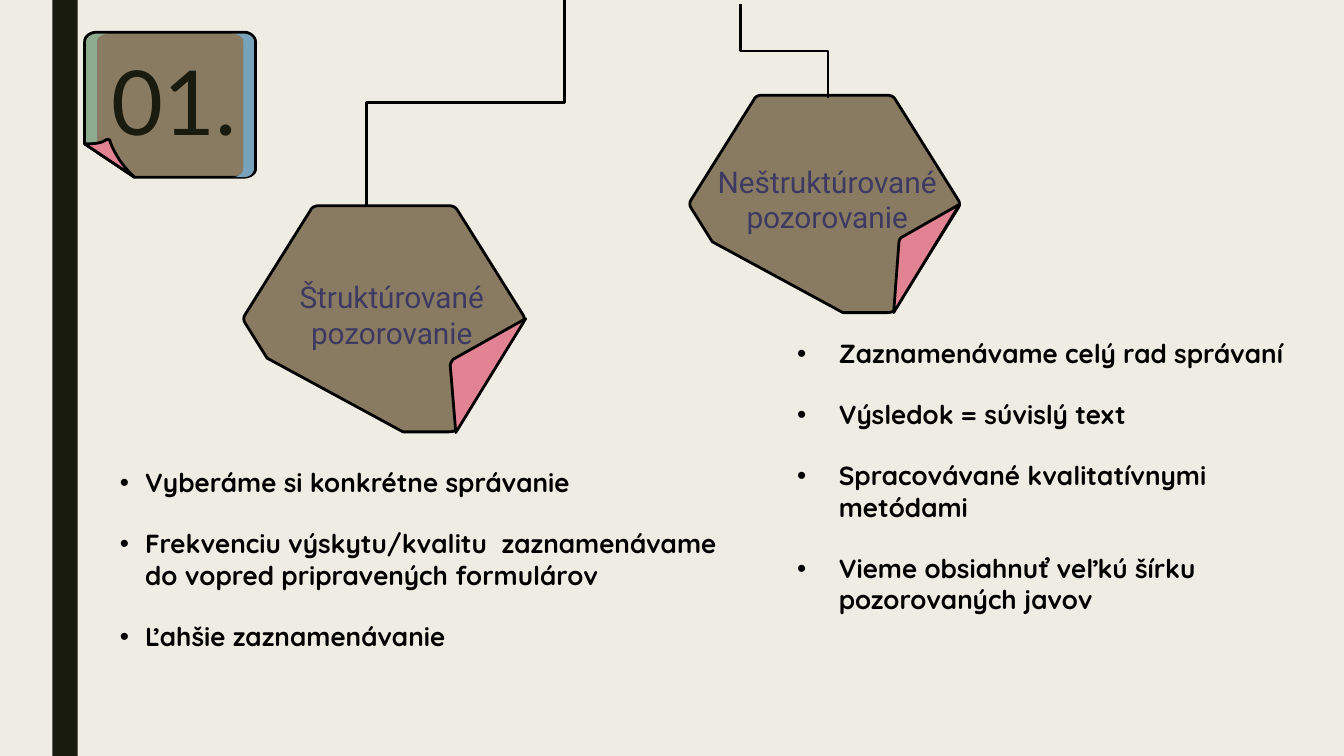
from pptx import Presentation
from pptx.dml.color import RGBColor
from pptx.enum.shapes import MSO_CONNECTOR as Connector, MSO_SHAPE as Shape
from pptx.enum.text import MSO_ANCHOR as Anchor, MSO_AUTO_SIZE as AutoSize, PP_ALIGN as Align
from pptx.oxml.ns import qn
from pptx.util import Cm, Pt

COLORS = {
    "paper": "EFEDE3", "dark": "191B0E", "brown": "897B61", "blue": "77A2BB",
    "green": "8DAB8E", "pink": "E28394", "label": "3D3961", "black": "000000",
}

# Outlines in cm: a pair is a corner, six numbers are a Bezier curve.
BADGE = [
    ("brown", True, [(1.83, 0.61), (1.7, 0.61, 1.6, 0.69, 1.6, 0.79), (1.6, 2.72),
                     (2.54, 3.35), (4.62, 3.35), (4.72, 3.35, 4.83, 3.28, 4.83, 3.2),
                     (4.83, 0.79), (4.83, 0.69, 4.72, 0.61, 4.62, 0.61)]),
    ("blue", False, [(4.39, 0.64), (4.52, 0.64, 4.6, 0.71, 4.6, 0.79), (4.6, 3.18),
                     (4.6, 3.28, 4.52, 3.35, 4.39, 3.35), (4.6, 3.35),
                     (4.72, 3.35, 4.8, 3.28, 4.8, 3.18), (4.8, 0.79),
                     (4.8, 0.71, 4.72, 0.64, 4.6, 0.64)]),
    ("green", False, [(1.83, 0.64), (1.73, 0.64, 1.63, 0.71, 1.63, 0.79), (1.63, 2.72),
                      (1.83, 2.84), (1.83, 0.79), (1.83, 0.71, 1.93, 0.64, 2.03, 0.64)]),
    ("pink", True, [(2.01, 2.64), (1.91, 2.72, 1.75, 2.72, 1.6, 2.72), (2.54, 3.35),
                    (2.24, 3.07, 2.11, 2.77, 2.08, 2.67), (2.08, 2.64, 2.06, 2.64, 2.03, 2.64)]),
]
HEXAGON = [
    (1.37, 0), (1.3, 0, 1.24, 0.03, 1.22, 0.08), (0.03, 1.98),
    (0, 2.03, 0, 2.08, 0.03, 2.13), (0.43, 2.77), (2.9, 4.11), (3.73, 4.11),
    (3.81, 4.11, 3.86, 4.09, 3.89, 4.04), (5.08, 2.13),
    (5.11, 2.08, 5.11, 2.03, 5.08, 1.98), (3.89, 0.08), (3.86, 0.03, 3.81, 0, 3.73, 0),
]
TITLE = ("01.", (1.63, 0.64, 3.33, 2.74))
BRANCHES = [
    {
        "label": "Štruktúrované pozorovanie", "label_box": (4.7, 5.38, 5.41, 1.14),
        "origin": (4.6, 3.89), "scale": 1.04,
        "flap": [(3.86, 4.12), (5.13, 2.05), (3.83, 2.78), (3.79, 2.81, 3.76, 2.86, 3.76, 2.91)],
        "link": (10.67, 0, 6.93, 3.89),
        "list_box": (2.01, 8.69, 11.94, 4.7), "indent": 0.48,
        "items": ["Vyberáme si konkrétne správanie",
                  "Frekvenciu výskytu/kvalitu  zaznamenávame do vopred pripravených formulárov",
                  "Ľahšie zaznamenávanie"],
    },
    {
        "label": "Neštruktúrované pozorovanie", "label_box": (12.6, 2.95, 6.07, 1.63),
        "origin": (13.03, 1.8), "scale": 1,
        "flap": [(3.86, 4.11), (5.11, 2.06), (4.04, 2.67), (3.99, 2.69, 3.96, 2.74, 3.96, 2.79)],
        "link": (14, 0.08, 15.65, 1.85),
        "list_box": (14.81, 6.25, 10.31, 5.64), "indent": 0.79,
        "items": ["Zaznamenávame celý rad správaní",
                  "Výsledok = súvislý text",
                  "Spracovávané kvalitatívnymi metódami",
                  "Vieme obsiahnuť veľkú šírku pozorovaných javov"],
    },
]
CURVE_STEPS = 8


def rgb(name):
    return RGBColor.from_string(COLORS[name])


def flatten(outline):
    """Turn corners and cubic curves into a plain list of points."""
    points = []
    for part in outline:
        if len(part) == 2:
            points.append(part)
            continue
        controls = [points[-1], part[:2], part[2:4], part[4:]]
        for step in range(1, CURVE_STEPS + 1):
            t = step / CURVE_STEPS
            weights = ((1 - t) ** 3, 3 * t * (1 - t) ** 2, 3 * t * t * (1 - t), t ** 3)
            points.append(tuple(sum(w * c[axis] for w, c in zip(weights, controls))
                                for axis in (0, 1)))
    return points


def style(sp, fill, outlined):
    sp.shadow.inherit = False
    sp.fill.solid()
    sp.fill.fore_color.rgb = rgb(fill)
    if outlined:
        sp.line.color.rgb = rgb("black")
        sp.line.width = Pt(1.5)
    else:
        sp.line.fill.background()


def add_outline(shapes, outline, fill, outlined=True, origin=(0, 0), scale=1):
    points = [(Cm(origin[0] + x * scale), Cm(origin[1] + y * scale))
              for x, y in flatten(outline)]
    builder = shapes.build_freeform(*points[0])
    builder.add_line_segments(points[1:], close=True)
    style(builder.convert_to_shape(), fill, outlined)


def add_link(shapes, x1, y1, x2, y2):
    """Elbow that leaves and arrives vertically: a horizontal one turned by 90 degrees."""
    cx, cy, half = (x1 + x2) / 2, (y1 + y2) / 2, (y2 - y1) / 2
    link = shapes.add_connector(Connector.ELBOW, Cm(cx - half), Cm(cy - x1 + cx),
                                Cm(cx + half), Cm(cy - x2 + cx))
    link.line.color.rgb = rgb("black")
    link.line.width = Pt(1.5)
    props = link._element.spPr
    props.find(qn("a:xfrm")).set("rot", "5400000")
    props.append(props.makeelement(qn("a:effectLst"), {}))


def place(sp, box):
    sp.left, sp.top, sp.width, sp.height = map(Cm, box)


def set_font(p, name, size, color, bold=False):
    p.font.name, p.font.size, p.font.bold = name, Pt(size), bold
    p.font.color.rgb = rgb(color)


def set_centred(sp, text, font, size, color):
    tf = sp.text_frame
    tf.text = text
    tf.word_wrap, tf.auto_size = True, AutoSize.NONE
    tf.vertical_anchor = Anchor.MIDDLE
    tf.margin_left = tf.margin_top = tf.margin_right = tf.margin_bottom = 0
    p = tf.paragraphs[0]
    p.alignment = Align.CENTER
    set_font(p, font, size, color)
    return p


def fill_list(sp, items, indent):
    tf = sp.text_frame
    tf.word_wrap, tf.auto_size = True, AutoSize.NONE
    tf.vertical_anchor = Anchor.TOP
    for i, item in enumerate(items):
        p = tf.paragraphs[0] if i == 0 else tf.add_paragraph()
        p.text = item
        props = p._p.get_or_add_pPr()
        props.set("marL", str(Cm(indent)))
        props.set("indent", str(-Cm(indent)))
        props.append(props.makeelement(qn("a:buChar"), {"char": "•"}))
        p.space_before = Pt(16 if i else 0)
        set_font(p, "Quicksand", 14, "black", bold=True)


def main():
    prs = Presentation()
    prs.slide_width, prs.slide_height = Cm(25.4), Cm(14.29)
    s = prs.slides.add_slide(prs.slide_layouts[3])
    s.background.fill.solid()
    s.background.fill.fore_color.rgb = rgb("paper")
    shapes = s.shapes
    title, *bodies = s.placeholders

    style(shapes.add_shape(Shape.RECTANGLE, Cm(0.99), 0, Cm(0.48), prs.slide_height), "dark", False)

    for fill, outlined, outline in BADGE:
        add_outline(shapes, outline, fill, outlined)
    text, box = TITLE
    place(title, box)
    set_centred(title, text, "Lato", 48, "dark").line_spacing = 0.89
    shapes._spTree.append(title._element)  # in front of the badge

    for branch, body in zip(BRANCHES, bodies):
        for outline, fill in ((HEXAGON, "brown"), (branch["flap"], "pink")):
            add_outline(shapes, outline, fill, origin=branch["origin"], scale=branch["scale"])
        label = shapes.add_textbox(*map(Cm, branch["label_box"]))
        set_centred(label, branch["label"], "Roboto", 16, "label")
        add_link(shapes, *branch["link"])
        place(body, branch["list_box"])
        fill_list(body, branch["items"], branch["indent"])

    prs.save("out.pptx")


if __name__ == "__main__":
    main()
